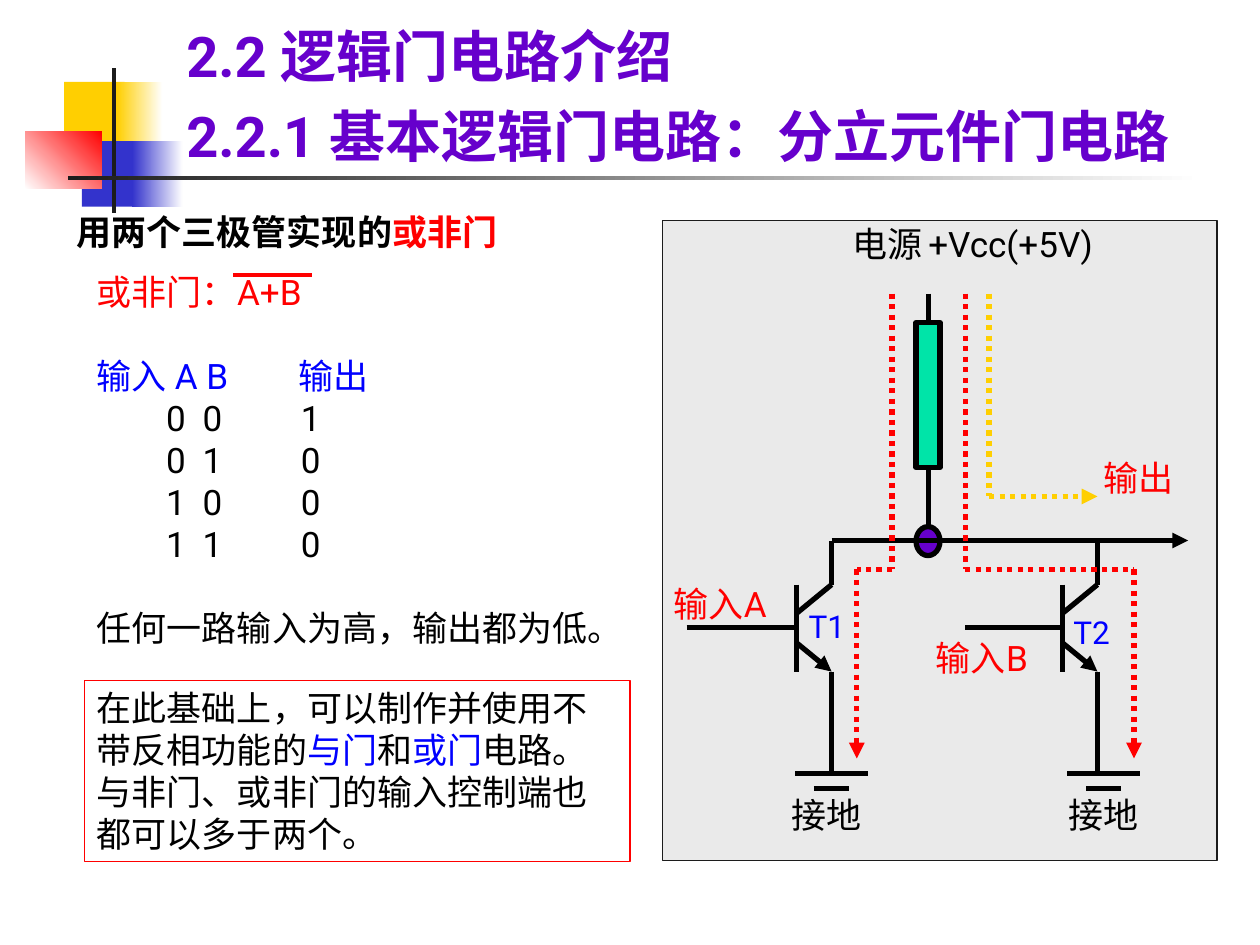
import pptx
import pptx.dml.color
import pptx.enum.dml
import pptx.enum.shapes
import pptx.enum.text
import pptx.oxml
import pptx.oxml.ns
import pptx.util

Inches = pptx.util.Inches
Pt = pptx.util.Pt
SHAPE = pptx.enum.shapes.MSO_SHAPE
ANCHOR = pptx.enum.text.MSO_ANCHOR

BLACK, RED, BLUE, YELLOW = "000000", "FF0000", "0000FF", "FFCF01"
PURPLE, NAVY, DARK, WHITE = "6600CC", "3333CC", "1C1C1C", "FFFFFF"


def rgb(value):
    return pptx.dml.color.RGBColor.from_string(value)


def element(parent, tag, **attrs):
    el = pptx.oxml.parse_xml(f"<{tag} {pptx.oxml.ns.nsdecls('a')}/>")
    for name, value in attrs.items():
        el.set(name, str(value))
    parent.append(el)
    return el


class Board:
    font = "Roboto"
    size = 20
    weight = 3

    def __init__(self, slide):
        self.slide = slide

    def shape(self, box, fill=None, line=None, weight=0.75, kind=SHAPE.RECTANGLE, angle=0):
        sp = self.slide.shapes.add_shape(kind, *map(Inches, box))
        sp.shadow.inherit = False
        if fill is None:
            sp.fill.background()
        elif isinstance(fill, tuple):
            sp.fill.gradient()
            sp.fill.gradient_angle = angle
            for stop, color in zip(sp.fill.gradient_stops, fill):
                stop.color.rgb = rgb(color)
        else:
            sp.fill.solid()
            sp.fill.fore_color.rgb = rgb(fill)
        if line:
            sp.line.color.rgb = rgb(line)
            sp.line.width = Pt(weight)
        else:
            sp.line.fill.background()
        return sp

    def line(self, *points, color=BLACK, weight=None, dotted=False, arrow=False):
        for i, (start, end) in enumerate(zip(points, points[1:]), 2):
            cx = self.slide.shapes.add_connector(
                pptx.enum.shapes.MSO_CONNECTOR.STRAIGHT, *map(Inches, start + end))
            cx.line.color.rgb = rgb(color)
            cx.line.width = Pt(weight or self.weight)
            if dotted:
                cx.line.dash_style = pptx.enum.dml.MSO_LINE.ROUND_DOT
            if arrow and i == len(points):
                element(cx.line._get_or_add_ln(), "a:tailEnd", type="triangle")
            element(cx._element.spPr, "a:effectLst")

    def fill_text(self, sp, paragraphs, size=None, font=None, bold=False, wrap=True,
                  anchor=ANCHOR.TOP):
        tf = sp.text_frame
        tf.word_wrap = wrap
        tf.vertical_anchor = anchor
        for i, (runs, before, tabs) in enumerate(paragraphs):
            p = tf.paragraphs[0] if i == 0 else tf.add_paragraph()
            p.alignment = pptx.enum.text.PP_ALIGN.LEFT
            if before:
                p.space_before = Pt(before)
            if tabs:
                stops = element(p._p.get_or_add_pPr(), "a:tabLst")
                for stop in tabs:
                    element(stops, "a:tab", pos=Inches(stop), algn="l")
            for text, color in runs:
                r = p.add_run()
                r.text = text
                r.font.size = Pt(size or self.size)
                r.font.name = font or self.font
                r.font.bold = bold
                r.font.color.rgb = rgb(color)

    def text(self, box, paragraphs, **style):
        self.fill_text(self.slide.shapes.add_textbox(*map(Inches, box)), paragraphs, **style)

    def label(self, box, text, color=BLACK, **style):
        self.text(box, [([(text, color)], 0, ())], **style)

    def transistor(self, base, lead, ground):
        out = base + 0.28
        self.line((out, 4.29), (out, 4.64), (base, 4.87))
        self.line((base, 4.64), (base, 5.33))
        self.line((base, 5.1), (out, 5.33), arrow=True)
        self.line((lead, 4.98), (base, 4.98))
        self.line((out, 5.33), (out, 6.14))
        for half, y in ((0.29, 6.14), (0.14, 6.26)):
            self.line((ground - half, y), (ground + half, y))


def decorate(board):
    board.shape((0.51, 0.65, 0.48, 0.52), YELLOW)
    board.shape((0.93, 0.65, 0.36, 0.52), (YELLOW, WHITE))
    board.shape((0.65, 1.12, 0.46, 0.52), NAVY)
    board.shape((1.05, 1.12, 0.4, 0.52), (NAVY, WHITE))
    board.shape((0.2, 1.04, 0.61, 0.46), (WHITE, RED), angle=45)
    board.shape((0.89, 0.54, 0.03, 1.15), DARK)
    board.shape((0.54, 1.4, 9, 0.03), (DARK, WHITE))


def draw_circuit(board):
    board.shape((5.26, 1.75, 4.4, 5.08), "EAEAEA", DARK)
    board.shape((7.27, 4.18, 0.19, 0.23), PURPLE, BLACK, 3, SHAPE.OVAL)
    board.transistor(6.32, 5.45, 6.6)
    board.transistor(8.43, 7.66, 8.76)
    board.line((6.6, 4.29), (9.43, 4.29), arrow=True)
    board.line((7.85, 2.33), (7.85, 3.94), (8.71, 3.94), color=YELLOW, dotted=True, arrow=True)
    for start, end in ((7.08, 6.8), (7.66, 9)):
        board.line((start, 2.33), (start, 4.52), (end, 4.52), (end, 6.02),
                   color=RED, dotted=True, arrow=True)
    board.line((7.37, 2.33), (7.37, 4.18))
    board.shape((7.27, 2.56, 0.19, 1.15), "00E4A8", BLACK, 3)

    board.label((7.27, 1.72, 1.54, 0.43), "+Vcc(+5V)", wrap=False)
    board.label((6.67, 1.72, 0.99, 0.43), "电源")
    board.label((5.25, 4.57, 1.16, 0.43), "输入A", RED)
    board.label((7.33, 5, 1.22, 0.43), "输入B", RED)
    board.label((8.66, 3.57, 1, 0.43), "输出", RED)
    for x in (6.18, 8.38):
        board.label((x, 6.25, 1.05, 0.43), "接地")
    board.label((6.32, 4.77, 0.49, 0.4), "T1", BLUE, size=18, wrap=False)
    board.label((8.42, 4.82, 0.49, 0.4), "T2", BLUE, size=18, wrap=False)


def add_notes(board):
    rows = [
        ([("或非门：A+B", RED)], 0, ()),
        ([("输入 A B\t输出", BLUE)], 24, (1.6,)),
    ]
    for a, b in ((0, 0), (0, 1), (1, 0), (1, 1)):
        rows.append(([(f"\t{a}\t{b}\t{int(not (a or b))}", BLACK)], 0, (0.55, 0.84, 1.62)))
    rows.append(([("任何一路输入为高，输出都为低。", BLACK)], 24, ()))
    board.text((0.67, 2.1, 4.37, 3.1), rows, wrap=False)
    board.line((1.85, 2.18), (2.48, 2.18), color=RED, weight=2.25)

    board.fill_text(board.shape((0.67, 5.4, 4.33, 1.44), line=RED), [
        ([("在此基础上，可以制作并使用不带反相功能的", BLACK), ("与门", BLUE),
          ("和", BLACK), ("或门", BLUE), ("电路。", BLACK)], 0, ()),
        ([("与非门、或非门的输入控制端也都可以多于两个。", BLACK)], 0, ()),
    ])
    board.text((0.51, 1.62, 4.8, 0.43),
               [([("用两个三极管实现的", BLACK), ("或非门", RED)], 0, ())],
               font="Times New Roman", bold=True)


def main():
    prs = pptx.Presentation()
    prs.slide_width, prs.slide_height = Inches(10), Inches(7.5)
    board = Board(prs.slides.add_slide(prs.slide_layouts[6]))
    decorate(board)
    draw_circuit(board)
    add_notes(board)
    board.label((1.38, 0.76, 8.41, 0.62), "2.2.1 基本逻辑门电路：分立元件门电路",
                PURPLE, size=32, bold=True)
    board.label((1.38, 0.13, 8.19, 0.62), "2.2 逻辑门电路介绍",
                PURPLE, size=32, bold=True, anchor=ANCHOR.BOTTOM)
    prs.save("out.pptx")


if __name__ == "__main__":
    main()
